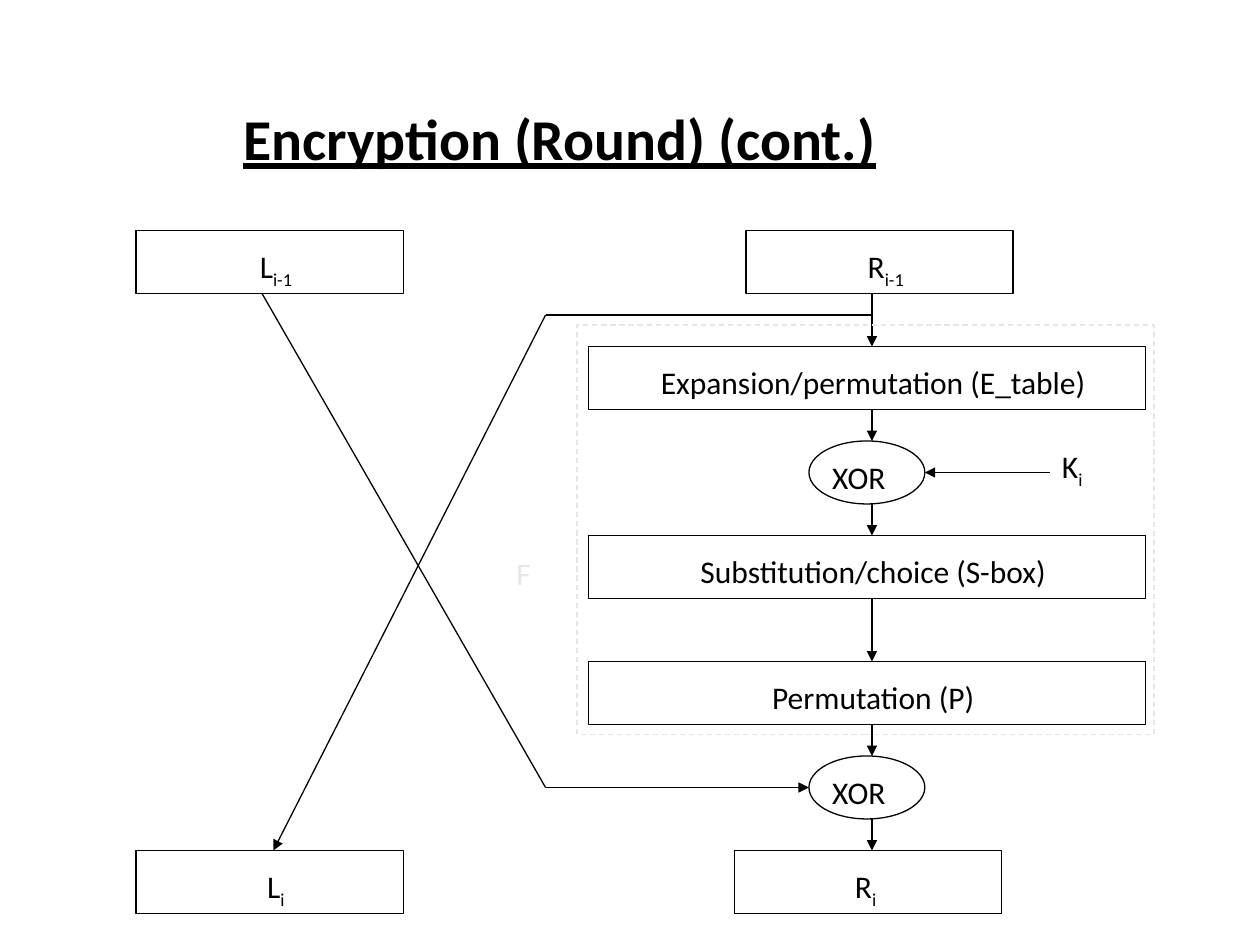
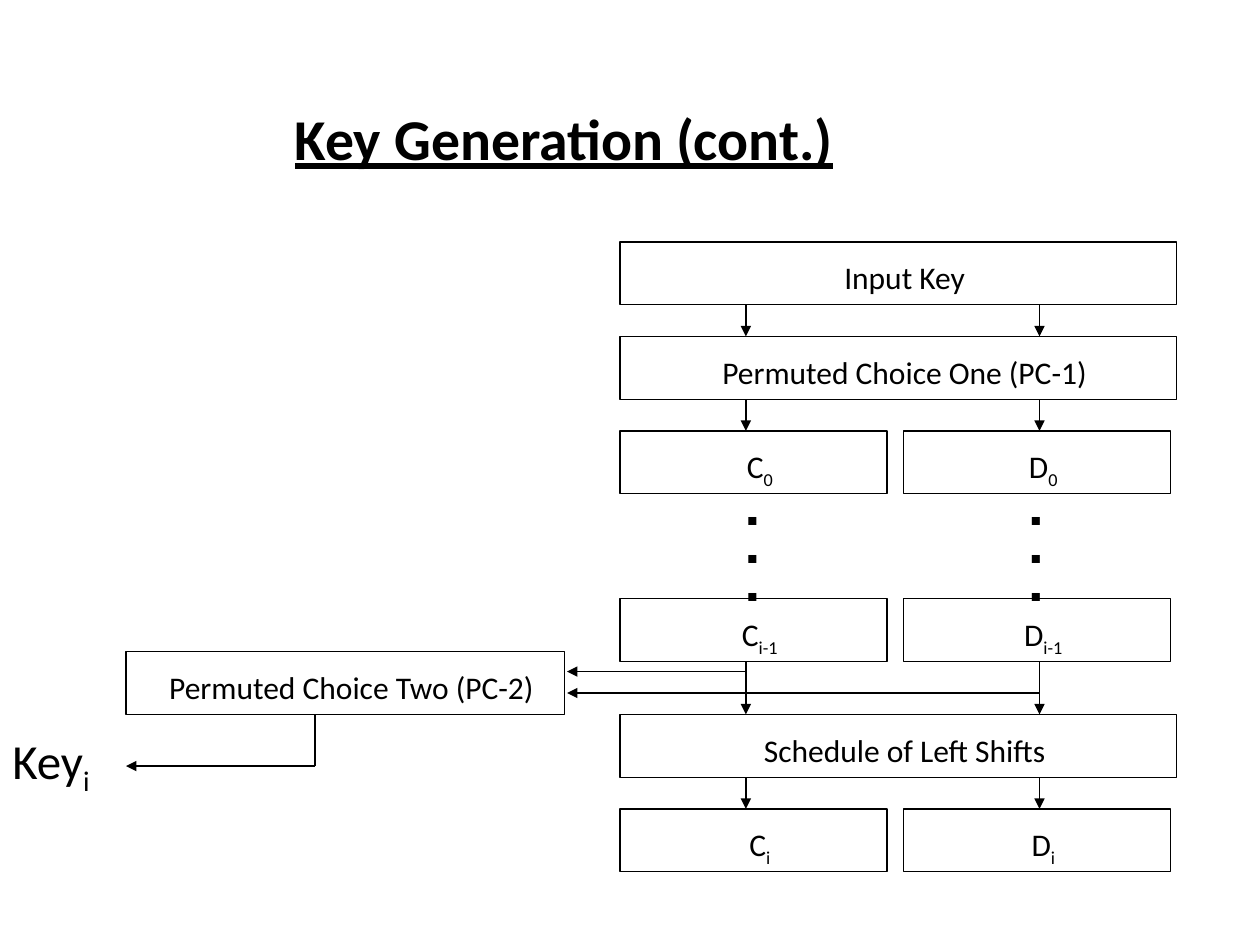
from lxml import etree
from pptx import Presentation
from pptx.dml.color import RGBColor
from pptx.enum.dml import MSO_LINE_DASH_STYLE as DASH
from pptx.enum.shapes import MSO_CONNECTOR as CONN, MSO_SHAPE as SHAPE
from pptx.enum.text import MSO_ANCHOR as ANCHOR, PP_ALIGN as ALIGN
from pptx.oxml.ns import qn
from pptx.util import Inches, Pt

COLORS = {"ink": "000000", "muted": "E7E6E6"}
FONT = "Calibri"
LINE_WIDTH = 0.75
BOX_H = 0.5
WIDE, NARROW = 4.42, 2.12
OVAL_W = 0.92
LABEL_TOP = 0.13


def rgb(name):
    return RGBColor.from_string(COLORS[name])


def add_run(p, text, color="ink", subscript=False, **formats):
    r = p.add_run()
    r.text = text
    r.font.color.rgb = rgb(color)
    for name, value in {"name": FONT, "size": Pt(18), **formats}.items():
        setattr(r.font, name, value)
    if subscript:
        r._r.get_or_add_rPr().set("baseline", "-25000")


def write(p, text, **formats):
    """Write text into p; what follows a ~ becomes a subscript."""
    base, _, sub = text.partition("~")
    add_run(p, base, **formats)
    if sub:
        add_run(p, sub, subscript=True, **formats)


def add_text(s, x, y, w, h, *lines, wrap=True, **formats):
    tf = s.shapes.add_textbox(Inches(x), Inches(y), Inches(w), Inches(h)).text_frame
    tf.word_wrap = wrap
    for i, line in enumerate(lines):
        p = tf.add_paragraph() if i else tf.paragraphs[0]
        write(p, line, **formats)
    return tf


def add_title(s, text, indent):
    tf = add_text(s, 0.69, 0.4, 8.62, 1.45, text, size=Pt(33), bold=True, underline=True)
    tf.vertical_anchor = ANCHOR.MIDDLE
    tf.margin_left = Inches(indent)
    tf.paragraphs[0].line_spacing = 0.9


def add_outline(s, kind, x, y, w, h, color="ink"):
    sp = s.shapes.add_shape(kind, Inches(x), Inches(y), Inches(w), Inches(h))
    sp.shadow.inherit = False
    sp.fill.background()
    sp.line.color.rgb = rgb(color)
    sp.line.width = Pt(LINE_WIDTH)
    return sp


def add_label(sp, text, align, left, top, right):
    tf = sp.text_frame
    tf.word_wrap = True
    margins = {"margin_left": left, "margin_top": top, "margin_right": right, "margin_bottom": 0}
    for name, value in margins.items():
        setattr(tf, name, Inches(value))
    tf.vertical_anchor = ANCHOR.TOP
    p = tf.paragraphs[0]
    p.alignment = align
    write(p, text)


def add_box(s, text, x, y, w, left=0.18):
    sp = add_outline(s, SHAPE.RECTANGLE, x, y, w, BOX_H)
    add_label(sp, text, ALIGN.CENTER, left, LABEL_TOP, 0.08)


def add_xor(s, x, y):
    sp = add_outline(s, SHAPE.OVAL, x, y, OVAL_W, BOX_H)
    add_label(sp, "XOR", ALIGN.LEFT, 0.05, 0.06, 0)


def add_line(s, x1, y1, x2, y2, arrow=True):
    c = s.shapes.add_connector(CONN.STRAIGHT, Inches(x1), Inches(y1), Inches(x2), Inches(y2))
    c.line.color.rgb = rgb("ink")
    c.line.width = Pt(LINE_WIDTH)
    if arrow:
        etree.SubElement(c.line._get_or_add_ln(), qn("a:tailEnd"), type="triangle")
    etree.SubElement(c._element.spPr, qn("a:effectLst"))


def build_round(s):
    add_title(s, "Encryption (Round) (cont.)", 1.24)

    left_x, flow_x, bend_x = 1.08, 6.92, 4.33
    top_y, bottom_y = 1.83, 6.75
    add_box(s, "L~i-1", left_x, top_y, NARROW)
    add_box(s, "R~i-1", 5.92, top_y, NARROW)
    add_box(s, "L~i", left_x, bottom_y, NARROW)
    add_box(s, "R~i", 5.83, bottom_y, NARROW, left=0.04)

    stages = (
        ("Expansion/permutation (E_table)", 2.75),
        ("Substitution/choice (S-box)", 4.25),
        ("Permutation (P)", 5.25),
    )
    for text, y in stages:
        add_box(s, text, 4.67, y, WIDE)
    xor_x, xor_rows = 6.42, (3.5, 6)
    for y in xor_rows:
        add_xor(s, xor_x, y)

    rows = sorted([top_y, bottom_y, *xor_rows, *(y for _, y in stages)])
    for upper, lower in zip(rows, rows[1:]):
        add_line(s, flow_x, upper + BOX_H, flow_x, lower)

    add_line(s, 8.33, 3.75, xor_x + OVAL_W, 3.75)
    add_text(s, 8.33, 3.5, 0.42, 0.4, "K~i")

    # The halves swap sides
    add_line(s, flow_x, 2.5, bend_x, 2.5, arrow=False)
    add_line(s, bend_x, 2.5, 2.17, bottom_y)
    add_line(s, 2.08, top_y + BOX_H, bend_x, 6.25, arrow=False)
    add_line(s, bend_x, 6.25, xor_x, 6.25)

    frame = add_outline(s, SHAPE.RECTANGLE, 4.58, 2.58, 4.58, 3.25, "muted")
    frame.line.dash_style = DASH.DASH
    add_text(s, 4, 4.35, 0.42, 0.4, "F", color="muted")


def build_key_schedule(s):
    add_title(s, "Key Generation (cont.)", 1.65)

    c_x, d_x = 4.92, 7.17
    key_y, pc1_y, start_y, prev_y, shift_y, next_y = 1.92, 2.67, 3.42, 4.75, 5.67, 6.42
    wide_boxes = (
        ("Input Key", key_y),
        ("Permuted Choice One (PC-1)", pc1_y),
        ("Schedule of Left Shifts", shift_y),
    )
    for text, y in wide_boxes:
        add_box(s, text, c_x, y, WIDE)
    for index, y in (("0", start_y), ("i-1", prev_y), ("i", next_y)):
        add_box(s, f"C~{index}", c_x, y, NARROW)
        add_box(s, f"D~{index}", d_x, y, NARROW)

    steps = ((key_y, pc1_y), (pc1_y, start_y), (prev_y, shift_y), (shift_y, next_y))
    for flow_x, dots_x, tap_y in ((5.92, 5.83, 5.33), (8.25, 8.08, 5.5)):
        for upper, lower in steps:
            add_line(s, flow_x, upper + BOX_H, flow_x, lower)
        add_text(s, dots_x, start_y + BOX_H, 0.4, 1, *"▪▪▪", wrap=False)
        add_line(s, flow_x, tap_y, 4.5, tap_y)

    pc2_x, pc2_y, key_out_x, key_out_y = 1, 5.17, 2.5, 6.08
    add_box(s, "Permuted Choice Two (PC-2)", pc2_x, pc2_y, 3.48)
    add_line(s, key_out_x, pc2_y + BOX_H, key_out_x, key_out_y, arrow=False)
    add_line(s, key_out_x, key_out_y, pc2_x, key_out_y)
    add_text(s, 0, 5.75, 1.17, 0.58, "Key~i", size=Pt(28))


def main():
    prs = Presentation()
    prs.slide_width, prs.slide_height = Inches(10), Inches(7.5)
    for build in (build_round, build_key_schedule):
        build(prs.slides.add_slide(prs.slide_layouts[6]))
    prs.save("out.pptx")


if __name__ == "__main__":
    main()
